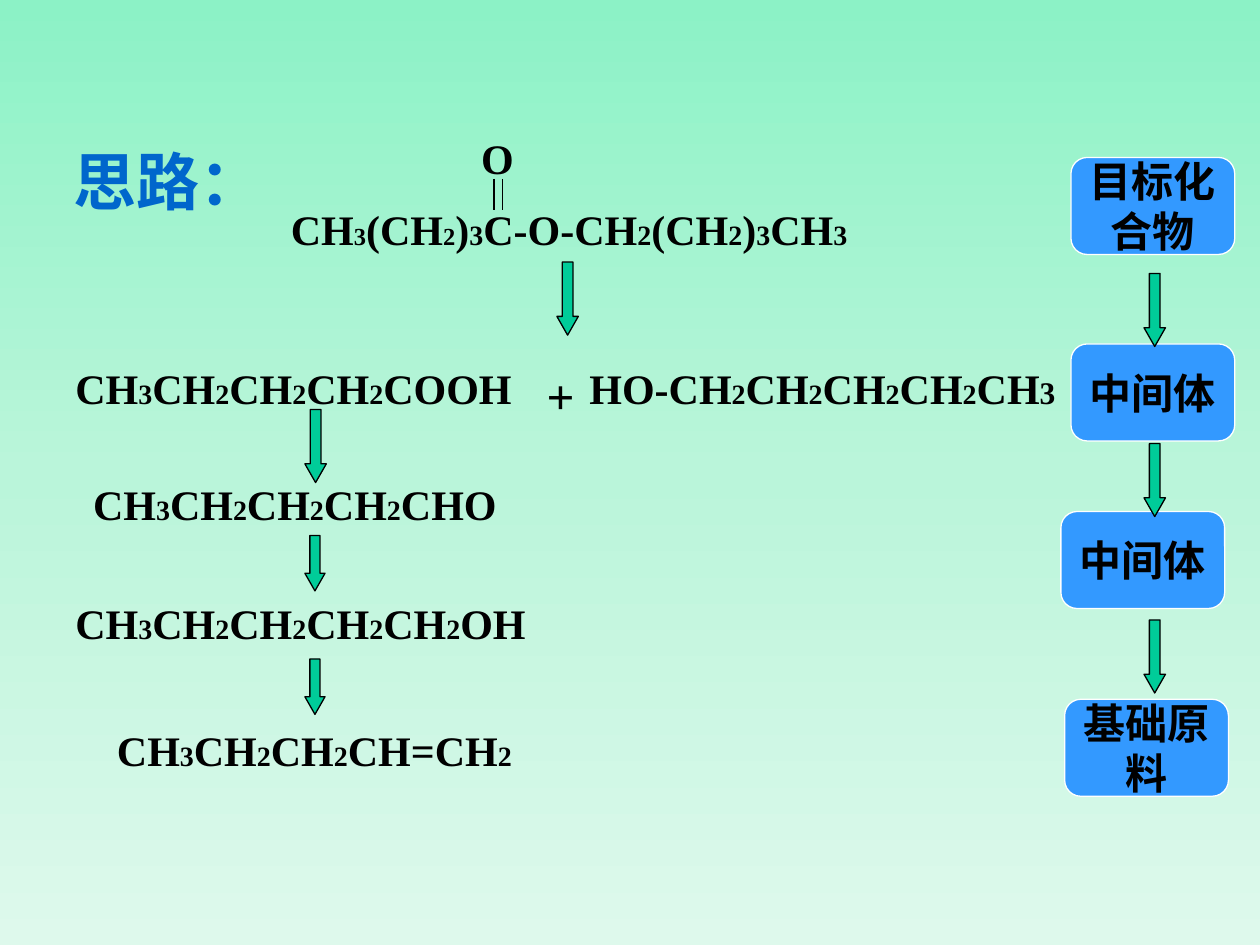
from copy import deepcopy
from itertools import groupby

from lxml import etree
from pptx import Presentation
from pptx.dml.color import RGBColor
from pptx.enum.shapes import MSO_CONNECTOR, MSO_SHAPE
from pptx.enum.text import MSO_ANCHOR, MSO_AUTO_SIZE, PP_ALIGN
from pptx.oxml.ns import qn
from pptx.util import Inches, Pt

STRAIGHT = MSO_CONNECTOR.STRAIGHT
DOWN_ARROW, ROUNDED = MSO_SHAPE.DOWN_ARROW, MSO_SHAPE.ROUNDED_RECTANGLE
MIDDLE, CENTER = MSO_ANCHOR.MIDDLE, PP_ALIGN.CENTER
GROW = MSO_AUTO_SIZE.SHAPE_TO_FIT_TEXT
LATIN, CHINESE = "Times New Roman", "Noto Sans CJK SC"


def rgb(value):
    return RGBColor.from_string(value)


def add_text(shapes, left, top, width, height, text, size=24, digit_sizes=(),
             font=LATIN, color="000000"):
    """Add an unwrapped bold text whose digits are small, 16 pt unless listed."""
    box = shapes.add_textbox(Inches(left), Inches(top), Inches(width), Inches(height))
    box.text_frame.word_wrap = False
    para = box.text_frame.paragraphs[0]
    small = iter(digit_sizes)
    for is_digit, letters in groupby(text, str.isdigit):
        span = para.add_run()
        span.text = "".join(letters)
        span.font.size = Pt(next(small, 16) if is_digit else size)
        span.font.name, span.font.bold = font, True
        span.font.color.rgb = rgb(color)
    return box


deck = Presentation()
deck.slide_width, deck.slide_height = Inches(10), Inches(7.5)
page = deck.slides.add_slide(deck.slide_layouts[6])

# Green background, fading downwards
background = page.background.fill
background.gradient()
background.gradient_angle = 270
stop_list = page.element.find(".//" + qn("a:gsLst"))
stop_list.insert(1, deepcopy(stop_list[0]))
for stop, (position, color) in zip(
        background.gradient_stops, [(0, "8CF2C6"), (0.5, "BAF5DA"), (1, "DEF9EC")]):
    stop.position = position
    stop.color.rgb = rgb(color)

# Heading
heading = add_text(page.shapes, 0.33, 1.08, 1.5, 0.5, "思路：", 36,
                   font=CHINESE, color="0066CC")
heading_para = heading.text_frame.paragraphs[0]
heading_para.alignment = CENTER
chinese_spans = [heading_para.runs[0]]

# Target ester with its C=O double bond
ester = page.shapes.add_group_shape().shapes
add_text(ester, 2.21, 1.57, 4.62, 0.5, "CH3(CH2)3C-O-CH2(CH2)3CH3",
         digit_sizes=(14, 14)).text_frame.auto_size = GROW
add_text(ester, 3.72, 1, 0.46, 0.5, "O").text_frame.auto_size = GROW
for x in (3.92, 3.99):
    bond = ester.add_connector(STRAIGHT, Inches(x), Inches(1.42), Inches(x), Inches(1.67))
    bond.line.color.rgb = rgb("000000")
    bond.line.width = Pt(0.75)
    etree.SubElement(bond.element.spPr, qn("a:effectLst"))

# Precursors
for left, top, width, formula, digit_sizes in [
    (0.5, 2.83, 4.16, "CH3CH2CH2CH2COOH", ()),
    (4.58, 2.83, 3.9, "HO-CH2CH2CH2CH2CH3", (16, 16, 16, 16, 18)),
    (0.64, 3.75, 3.4, "CH3CH2CH2CH2CHO", ()),
    (0.5, 4.69, 4.27, "CH3CH2CH2CH2CH2OH", ()),
    (0.83, 5.7, 3.34, "CH3CH2CH2CH=CH2", ()),
]:
    box = add_text(page.shapes, left, top, width, 0.5, formula, digit_sizes=digit_sizes)
    box.text_frame.auto_size = GROW
add_text(page.shapes, 4.24, 2.85, 0.42, 0.57, "+", 28).text_frame.auto_size = GROW

# Stages on the right
for left, top, label in [(8.5, 1.25, "目标化合物"), (8.5, 2.73, "中间体"),
                         (8.42, 4.06, "中间体"), (8.45, 5.55, "基础原料")]:
    stage = page.shapes.add_shape(ROUNDED, Inches(left), Inches(top), Inches(1.3), Inches(0.77))
    stage.shadow.inherit = False
    stage.fill.solid()
    stage.fill.fore_color.rgb = rgb("3399FF")
    stage.line.color.rgb = rgb("FFFFFF")
    stage.line.width = Pt(0.75)
    stage.text_frame.text = label
    stage.text_frame.vertical_anchor = MIDDLE
    para = stage.text_frame.paragraphs[0]
    para.alignment = CENTER
    span = para.runs[0]
    span.font.size, span.font.bold, span.font.name = Pt(24), True, LATIN
    span.font.color.rgb = rgb("000000")
    chinese_spans.append(span)

# East Asian typeface for the Chinese labels
for span in chinese_spans:
    latin = span.font._element.find(qn("a:latin"))
    east_asian = etree.Element(qn("a:ea"), typeface=CHINESE)
    latin.addnext(east_asian)

# Arrows between the steps
for left, top, width, height in [
    (4.42, 2.08, 0.17, 0.58), (2.42, 3.25, 0.17, 0.58),
    (2.42, 4.25, 0.16, 0.44), (2.42, 5.23, 0.16, 0.44),
    (9.08, 2.17, 0.17, 0.58), (9.08, 3.52, 0.17, 0.58), (9.08, 4.92, 0.17, 0.58),
]:
    arrow = page.shapes.add_shape(DOWN_ARROW, Inches(left), Inches(top),
                                  Inches(width), Inches(height))
    arrow.adjustments[0], arrow.adjustments[1] = 0.5, 0.875
    arrow.shadow.inherit = False
    arrow.fill.solid()
    arrow.fill.fore_color.rgb = rgb("00CC99")
    arrow.line.color.rgb = rgb("000000")
    arrow.line.width = Pt(0.75)

deck.save("out.pptx")
